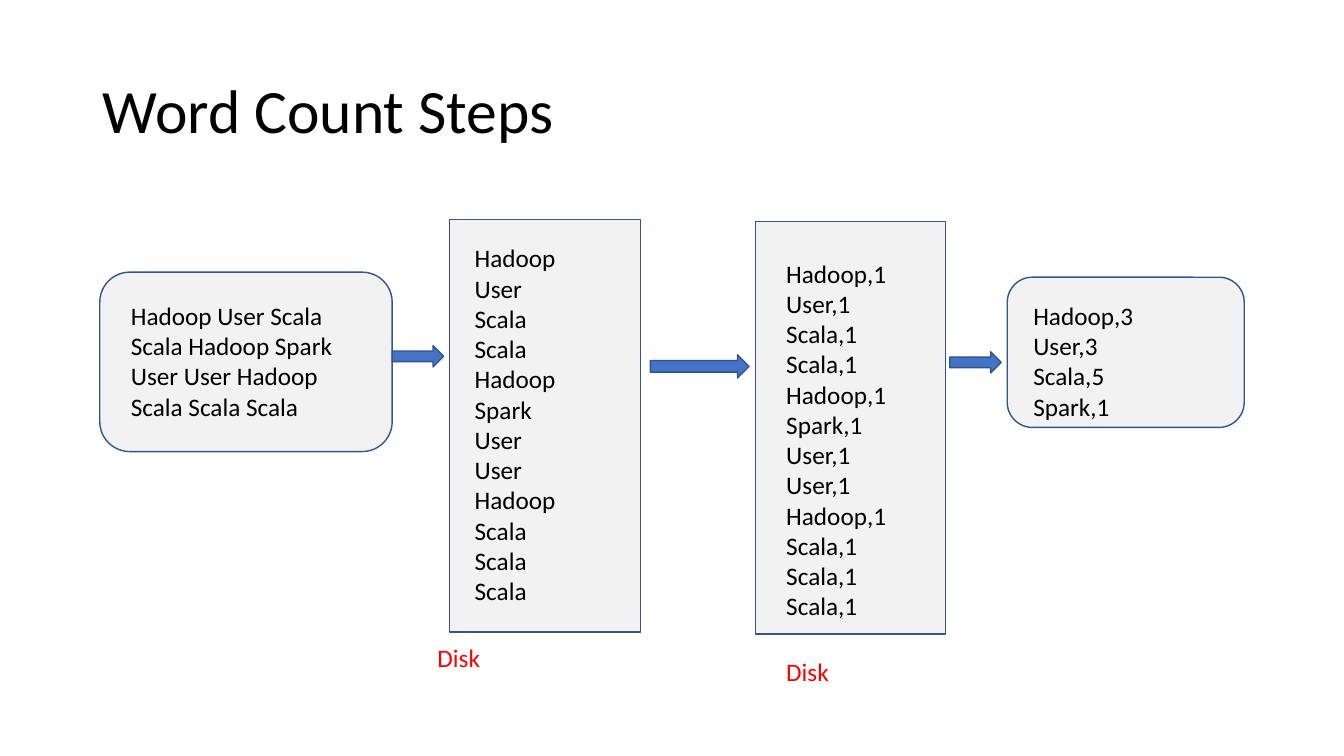
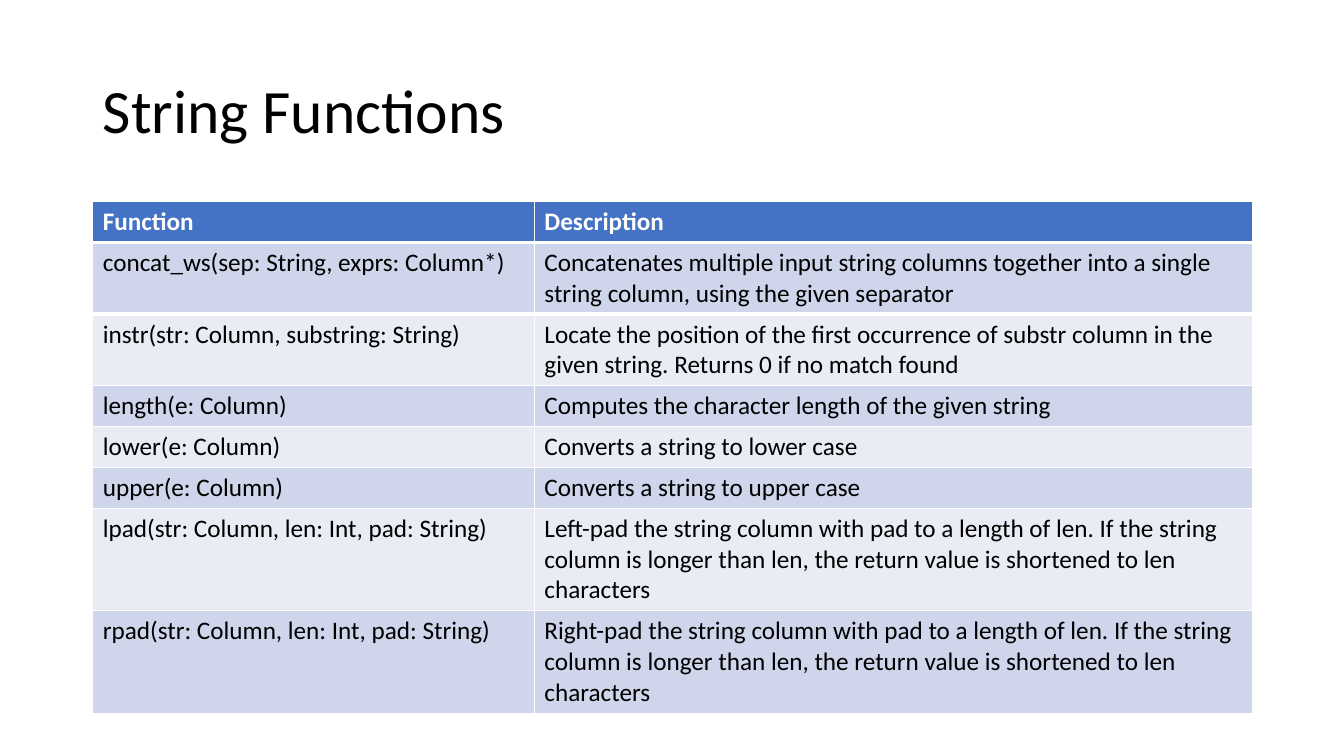
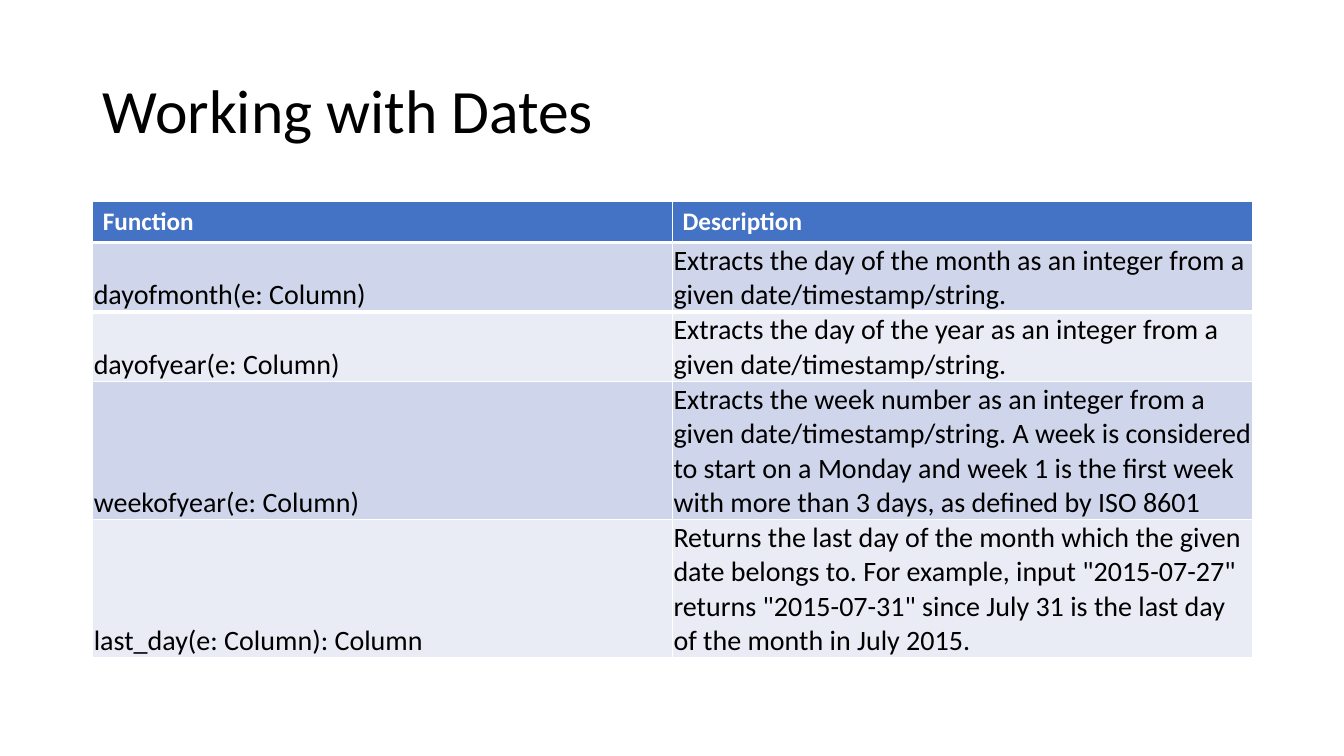
from collections import Counter

from lxml.etree import SubElement
from pptx import Presentation
from pptx.dml.color import RGBColor
from pptx.enum.shapes import MSO_SHAPE
from pptx.enum.text import MSO_ANCHOR, MSO_AUTO_SIZE, PP_ALIGN
from pptx.oxml.ns import qn
from pptx.util import Inches, Pt

FONT = "Calibri"
BLACK = RGBColor(0x00, 0x00, 0x00)
WHITE = RGBColor(0xFF, 0xFF, 0xFF)
RED = RGBColor(0xFF, 0x00, 0x00)
BLUE = RGBColor(0x44, 0x72, 0xC4)
NAVY = RGBColor(0x32, 0x54, 0x91)
GREY = RGBColor(0xF2, 0xF2, 0xF2)
BANDS = (RGBColor(0xCF, 0xD5, 0xEA), RGBColor(0xE9, 0xEB, 0xF5))

LEFT, WIDTH = 0.92, 11.5
ROW = 0.4

LINES = ["Hadoop User Scala", "Scala Hadoop Spark",
         "User User Hadoop", "Scala Scala Scala"]
WORDS = " ".join(LINES).split()
PAIRS = [f"{word},1" for word in WORDS]
COUNTS = [f"{word},{total}" for word, total in Counter(WORDS).items()]

ROUND, RECT = MSO_SHAPE.ROUNDED_RECTANGLE, MSO_SHAPE.RECTANGLE
STAGES = [
    (ROUND, (0.99, 2.7, 2.9, 1.78), (1.2, 2.93, 2.47, 1.31), LINES),
    (RECT, (4.46, 2.18, 1.89, 4.09), (4.61, 2.36, 1.64, 3.74), WORDS),
    (RECT, (7.49, 2.2, 1.89, 4.09), (7.7, 2.51, 1.64, 3.74), PAIRS),
    (ROUND, (9.99, 2.75, 2.35, 1.49), (10.15, 2.93, 1.99, 1.31), COUNTS),
]
ARROWS = [(3.89, 3.43, 0.51, 0.21), (6.45, 3.52, 0.98, 0.23),
          (9.42, 3.49, 0.51, 0.21)]
DISKS = [(4.24, 6.32, 1.33, 0.4), (7.7, 6.46, 1.33, 0.4)]

HEADER = ("Function", "Description")
STRINGS = [
    ("concat_ws(sep: String, exprs: Column*)",
     "Concatenates multiple input string columns together into a single "
     "string column, using the given separator"),
    ("instr(str: Column, substring: String)",
     "Locate the position of the first occurrence of substr column in the "
     "given string. Returns 0 if no match found"),
    ("length(e: Column)", "Computes the character length of the given string"),
    ("lower(e: Column)", "Converts a string to lower case"),
    ("upper(e: Column)", "Converts a string to upper case"),
    ("lpad(str: Column, len: Int, pad: String)",
     "Left-pad the string column with pad to a length of len. If the string "
     "column is longer than len, the return value is shortened to len characters"),
    ("rpad(str: Column, len: Int, pad: String)",
     "Right-pad the string column with pad to a length of len. If the string "
     "column is longer than len, the return value is shortened to len characters"),
]
DATES = [
    ("dayofmonth(e: Column)",
     "Extracts the day of the month as an integer from a given "
     "date/timestamp/string."),
    ("dayofyear(e: Column)",
     "Extracts the day of the year as an integer from a given "
     "date/timestamp/string."),
    ("weekofyear(e: Column)",
     "Extracts the week number as an integer from a given "
     "date/timestamp/string. A week is considered to start on a Monday and "
     "week 1 is the first week with more than 3 days, as defined by ISO 8601"),
    ("last_day(e: Column): Column",
     "Returns the last day of the month which the given date belongs to. For "
     'example, input "2015-07-27" returns "2015-07-31" since July 31 is the '
     "last day of the month in July 2015."),
]


def place(box):
    return [Inches(side) for side in box]


def style(frame, size=18, color=BLACK, bold=False):
    for para in frame.paragraphs:
        for run in para.runs:
            font = run.font
            font.name, font.size, font.bold = FONT, Pt(size), bold
            font.color.rgb = color


def add_slide(deck, name):
    slide = deck.slides.add_slide(deck.slide_layouts[5])
    title = slide.shapes.title
    title.left, title.top, title.width, title.height = place((LEFT, 0.4, WIDTH, 1.45))
    frame = title.text_frame
    frame.text = name
    frame.auto_size = MSO_AUTO_SIZE.NONE
    frame.vertical_anchor = MSO_ANCHOR.MIDDLE
    para = frame.paragraphs[0]
    para.alignment = PP_ALIGN.LEFT
    para.line_spacing = 0.9
    style(frame, 44)
    return slide


def add_block(slide, kind, box, fill):
    shape = slide.shapes.add_shape(kind, *place(box))
    shape.shadow.inherit = False
    shape.fill.solid()
    shape.fill.fore_color.rgb = fill
    shape.line.color.rgb = NAVY
    shape.line.width = Pt(1)


def add_text(slide, box, lines, color=BLACK):
    frame = slide.shapes.add_textbox(*place(box)).text_frame
    frame.word_wrap = True
    frame.auto_size = MSO_AUTO_SIZE.SHAPE_TO_FIT_TEXT
    frame.text = "\n".join(lines)
    style(frame, color=color)


def set_edges(cell, edges):
    props = cell._tc.get_or_add_tcPr()
    for spot, (edge, width) in enumerate(edges.items()):
        line = SubElement(props, qn(f"a:{edge}"), w=str(Pt(width)))
        fill = SubElement(line, qn("a:solidFill"))
        SubElement(fill, qn("a:srgbClr"), val=str(WHITE))
        props.insert(spot, line)


def add_grid(slide, rows, widths, size=18, tight=False):
    count = len(rows) + 1
    box = place((LEFT, 2, WIDTH, ROW * count))
    table = slide.shapes.add_table(count, len(widths), *box).table
    for column, width in zip(table.columns, widths):
        column.width = Inches(width)
    for r, texts in enumerate([HEADER, *rows]):
        head = r == 0
        for c, text in enumerate(texts):
            cell = table.cell(r, c)
            cell.text = text
            cell.fill.solid()
            cell.fill.fore_color.rgb = BLUE if head else BANDS[(r - 1) % 2]
            if head:
                style(cell.text_frame, color=WHITE, bold=True)
                set_edges(cell, {"lnL": 1, "lnR": 1, "lnT": 1, "lnB": 3})
                continue
            style(cell.text_frame, size)
            if r == 1:
                set_edges(cell, {"lnT": 3})
            if tight:
                cell.vertical_anchor = MSO_ANCHOR.BOTTOM
                cell.margin_left = cell.margin_top = Inches(0.01)
                cell.margin_right = cell.margin_bottom = 0


def main():
    deck = Presentation()
    deck.slide_width, deck.slide_height = Inches(13.33), Inches(7.5)

    steps = add_slide(deck, "Word Count Steps")
    for kind, box, inner, lines in STAGES:
        add_block(steps, kind, box, GREY)
        add_text(steps, inner, lines)
    for box in ARROWS:
        add_block(steps, MSO_SHAPE.RIGHT_ARROW, box, BLUE)
    for box in DISKS:
        add_text(steps, box, ["Disk"], RED)

    add_grid(add_slide(deck, "String Functions"), STRINGS, (4.38, 7.12))
    add_grid(add_slide(deck, "Working with Dates"), DATES, (5.75, 5.75), 20, True)
    deck.save("out.pptx")


if __name__ == "__main__":
    main()
